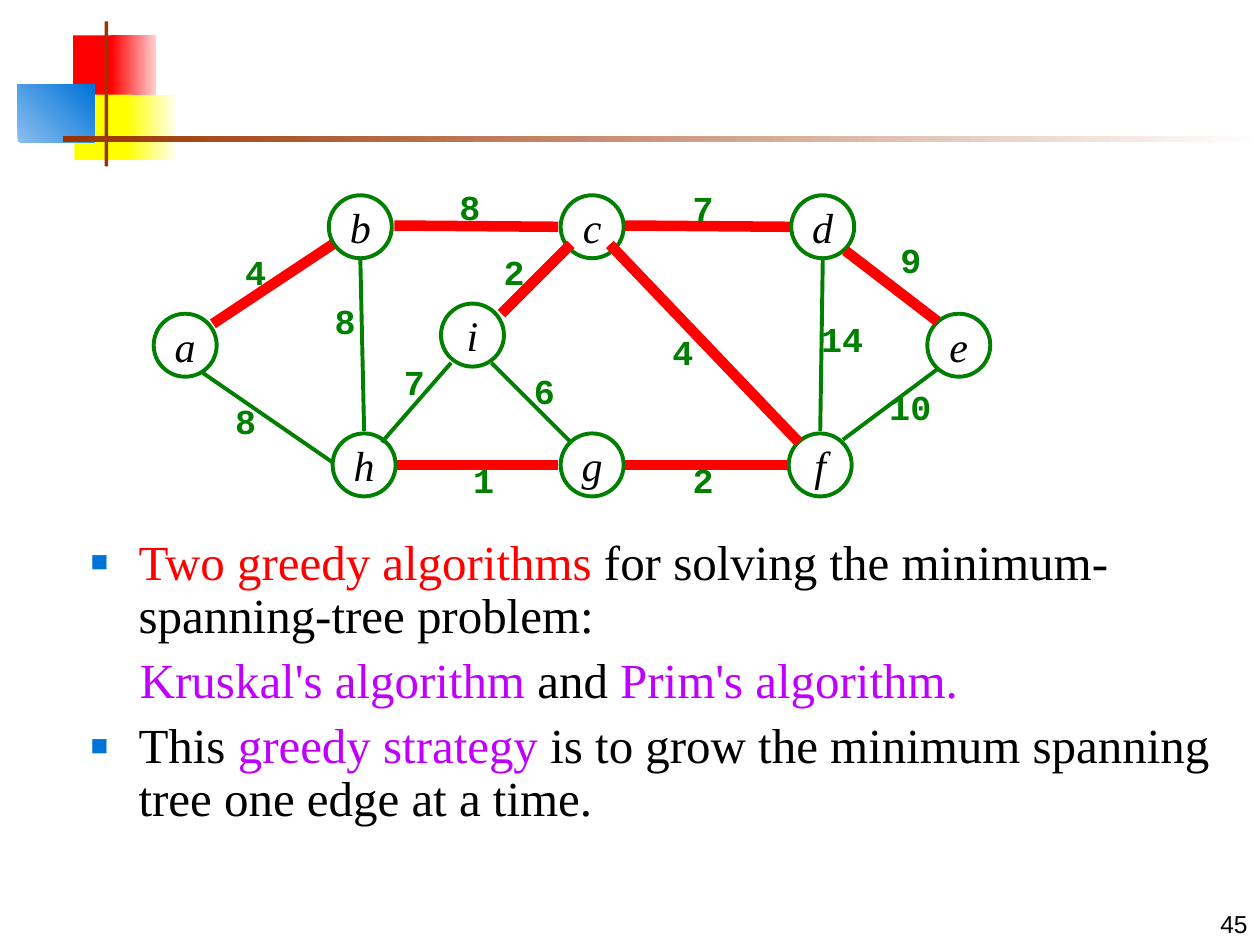
from lxml.etree import SubElement
from pptx import Presentation
from pptx.dml.color import RGBColor
from pptx.enum.shapes import MSO_CONNECTOR, MSO_SHAPE
from pptx.enum.text import MSO_ANCHOR, MSO_AUTO_SIZE, PP_ALIGN
from pptx.oxml.ns import qn
from pptx.util import Inches, Pt

RED, GREEN, BLUE, PURPLE, BLACK = "FF0000", "007F00", "0073D9", "BF00FF", "000000"
YELLOW, BROWN, WHITE = "FFFF00", "993300", "FFFFFF"
NODE_SIZE = 0.5

# Left, top, width, height, colours (two make a gradient), gradient angle
BANNER = [
    (0.58, 0.28, 0.35, 0.52, [RED], 0),
    (0.88, 0.28, 0.36, 0.52, [RED, "FFD1D1"], 0),
    (0.59, 0.75, 0.46, 0.52, [YELLOW], 0),
    (1, 0.75, 0.4, 0.52, [YELLOW, "FFFFF0"], 0),
    (0.14, 0.67, 0.61, 0.46, ["8BBFEE", BLUE], 45),
    (0.83, 0.17, 0.03, 1.15, [BROWN], 0),
    (0.5, 1.08, 9.5, 0.05, [BROWN, WHITE], 0),
]
NODES = {
    "a": (1.22, 2.49), "b": (2.61, 1.55), "c": (4.45, 1.55),
    "d": (6.28, 1.55), "e": (7.36, 2.49), "f": (6.26, 3.44),
    "g": (4.45, 3.44), "h": (2.64, 3.44), "i": (3.5, 2.41),
}
TREE_EDGES = [
    (3.13, 1.79, 4.43, 1.8), (4.96, 1.79, 6.27, 1.8),
    (4.43, 3.69, 3.15, 3.69), (4.96, 3.69, 6.25, 3.69),
    (6.71, 1.99, 7.44, 2.55), (1.69, 2.57, 2.64, 1.94),
    (4.53, 1.94, 3.98, 2.49), (4.84, 1.94, 6.34, 3.51),
]
OTHER_EDGES = [
    (2.89, 3.42, 2.86, 2.06), (6.51, 3.42, 6.53, 2.06),
    (6.69, 3.49, 7.44, 2.93), (1.61, 2.96, 2.64, 3.67),
    (3.58, 2.88, 3.03, 3.51), (3.9, 2.88, 4.53, 3.51),
]
WEIGHTS = [
    ("8", 3.55, 1.42), ("7", 5.4, 1.43), ("9", 7.05, 1.84), ("10", 6.96, 3.01),
    ("14", 6.42, 2.47), ("4", 5.24, 2.57), ("6", 4.14, 2.88), ("2", 3.9, 1.94),
    ("8", 2.56, 2.33), ("7", 3.11, 2.81), ("8", 1.77, 3.12), ("4", 1.85, 1.94),
    ("1", 3.66, 3.59), ("2", 5.4, 3.59),
]
# Has a bullet, then runs of text and colour
BODY = [
    (True, [("Two greedy algorithms", RED),
            (" for solving the minimum-spanning-tree problem:", BLACK)]),
    (False, [("Kruskal's algorithm", PURPLE), (" and ", BLACK),
             ("Prim's algorithm.", PURPLE)]),
    (True, [("This ", BLACK), ("greedy strategy", PURPLE),
            (" is to grow the minimum spanning tree one edge at a time.", BLACK)]),
]


def rgb(value):
    return RGBColor.from_string(value)


class SlideBuilder:
    fonts = {
        "node": {"name": "Times New Roman", "size": Pt(24), "italic": True},
        "weight": {"name": "Courier New", "size": Pt(20), "bold": True},
        "body": {"name": "Times New Roman", "size": Pt(28)},
        "number": {"name": "Arial", "size": Pt(14)},
    }

    def __init__(self, s):
        self.s = s

    def run(self, p, text, style, color):
        r = p.add_run()
        r.text = text
        for key, value in self.fonts[style].items():
            setattr(r.font, key, value)
        r.font.color.rgb = rgb(color)

    def shape(self, kind, box, colors, angle=0):
        sp = self.s.shapes.add_shape(kind, *map(Inches, box))
        sp.shadow.inherit = False
        sp.line.fill.background()
        if len(colors) == 1:
            sp.fill.solid()
            sp.fill.fore_color.rgb = rgb(colors[0])
        else:
            sp.fill.gradient()
            sp.fill.gradient_angle = angle
            for stop, color in zip(sp.fill.gradient_stops, colors):
                stop.color.rgb = rgb(color)
        return sp

    def node(self, name, left, top):
        sp = self.shape(MSO_SHAPE.OVAL, (left, top, NODE_SIZE, NODE_SIZE), [WHITE])
        sp.line.color.rgb = rgb(GREEN)
        sp.line.width = Pt(2.25)
        tf = sp.text_frame
        tf.word_wrap = False
        tf.vertical_anchor = MSO_ANCHOR.MIDDLE
        p = tf.paragraphs[0]
        p.alignment = PP_ALIGN.CENTER
        self.run(p, name, "node", BLACK)

    def edge(self, ends, color, width):
        line = self.s.shapes.add_connector(MSO_CONNECTOR.STRAIGHT, *map(Inches, ends))
        line.line.color.rgb = rgb(color)
        line.line.width = Pt(width)
        SubElement(line._element.spPr, qn("a:effectLst"))

    def text(self, text, box, style, color, **frame):
        tf = self.s.shapes.add_textbox(*map(Inches, box)).text_frame
        align = frame.pop("align")
        for key, value in frame.items():
            setattr(tf, key, value)
        p = tf.paragraphs[0]
        p.alignment = align
        self.run(p, text, style, color)

    def weight(self, text, left, top):
        width = 0.36 if len(text) == 1 else 0.53
        self.text(text, (left, top, width, 0.44), "weight", GREEN,
                  align=PP_ALIGN.CENTER, word_wrap=False,
                  margin_left=0, margin_right=0, auto_size=MSO_AUTO_SIZE.NONE)

    def bullet(self, p, shown):
        """Set the indent and a square bullet, or no bullet at all."""
        pPr = p._p.get_or_add_pPr()
        pPr.set("marL", str(Inches(0.38 if shown else 0.39)))
        pPr.set("indent", str(Inches(-0.38 if shown else 0)))
        if not shown:
            SubElement(pPr, qn("a:buNone"))
            return
        color = SubElement(pPr, qn("a:buClr"))
        SubElement(color, qn("a:srgbClr"), val=BLUE)
        SubElement(pPr, qn("a:buSzPct"), val="60000")
        SubElement(pPr, qn("a:buFont"), typeface="Arial")
        SubElement(pPr, qn("a:buChar"), char="■")

    def body(self, sp, box, paragraphs):
        sp.left, sp.top, sp.width, sp.height = map(Inches, box)
        tf = sp.text_frame
        tf.word_wrap = True
        tf.auto_size = MSO_AUTO_SIZE.NONE
        tf.vertical_anchor = MSO_ANCHOR.TOP
        for i, (bulleted, runs) in enumerate(paragraphs):
            p = tf.add_paragraph() if i else tf.paragraphs[0]
            p.alignment = PP_ALIGN.LEFT
            p.line_spacing = 0.9
            p.space_before = Pt(7 if i else 0)
            self.bullet(p, bulleted)
            for text, color in runs:
                self.run(p, text, "body", color)


def main():
    prs = Presentation()
    prs.slide_width, prs.slide_height = Inches(10), Inches(7.5)
    s = prs.slides.add_slide(prs.slide_layouts[1])
    title = s.shapes.title._element
    title.getparent().remove(title)

    b = SlideBuilder(s)
    for *box, colors, angle in BANNER:
        b.shape(MSO_SHAPE.RECTANGLE, box, colors, angle)
    b.text("45", (7.92, 7, 2.08, 0.5), "number", BLACK, align=PP_ALIGN.RIGHT,
           word_wrap=True, vertical_anchor=MSO_ANCHOR.BOTTOM)
    b.body(s.placeholders[1], (0.62, 4.22, 9.38, 2.45), BODY)
    for name, place in NODES.items():
        b.node(name, *place)
    for edges, color, width in ((OTHER_EDGES, GREEN, 2.25), (TREE_EDGES, RED, 6)):
        for ends in edges:
            b.edge(ends, color, width)
    for weight in WEIGHTS:
        b.weight(*weight)
    prs.save("out.pptx")


if __name__ == "__main__":
    main()
